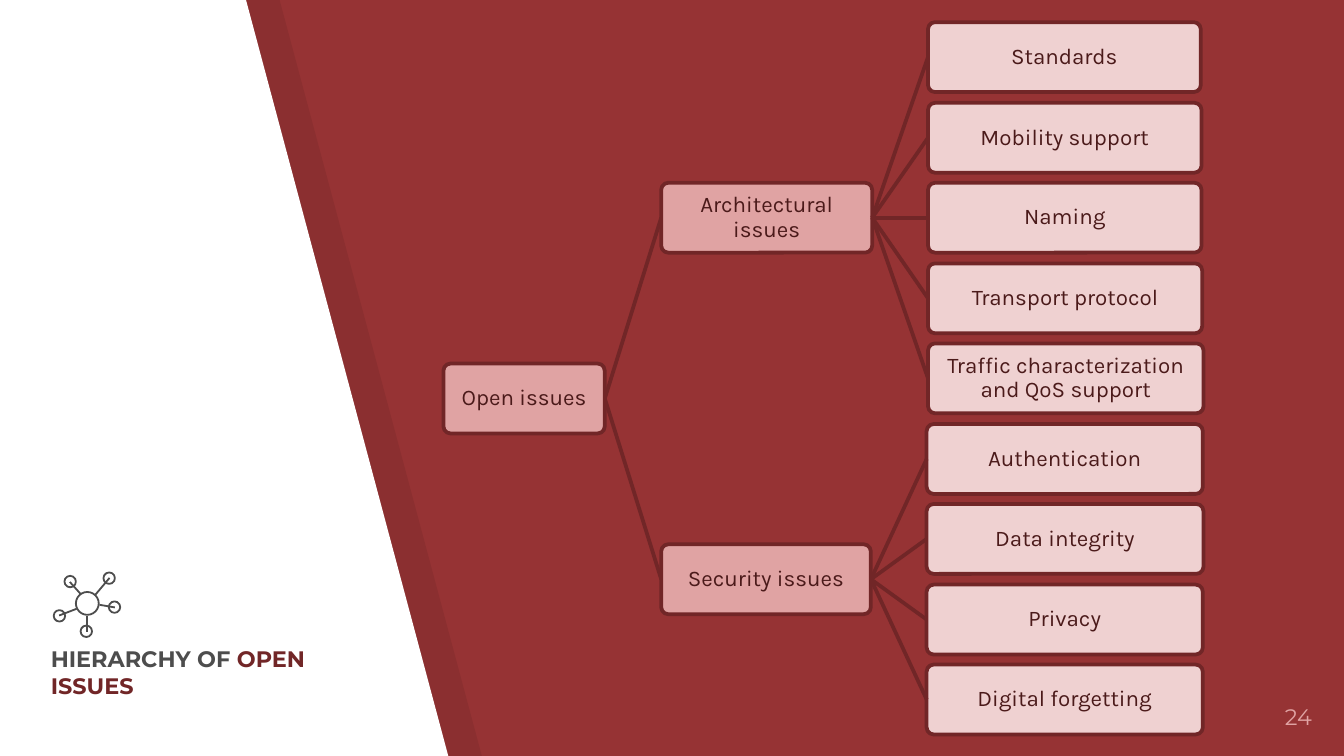
from pptx import Presentation
from pptx.dml.color import RGBColor
from pptx.enum.shapes import MSO_CONNECTOR as CONN, MSO_SHAPE as SHAPE
from pptx.enum.text import MSO_ANCHOR as ANCHOR, PP_ALIGN as ALIGN
from pptx.oxml.ns import qn
from pptx.util import Pt
from lxml import etree

PX = 4572  # 200 px to the inch
RED = RGBColor(0x96, 0x33, 0x34)
DARK_RED = RGBColor(0x71, 0x26, 0x27)
PINK = RGBColor(0xE0, 0xA3, 0xA3)
PALE = RGBColor(0xEF, 0xD1, 0xD1)
INK = RGBColor(0x4B, 0x1A, 0x1A)
GREY = RGBColor(0x4D, 0x4D, 0x4D)
WHITE = RGBColor(0xFF, 0xFF, 0xFF)
BLACK = RGBColor(0, 0, 0)

prs = Presentation()
prs.slide_width, prs.slide_height = 2000 * PX, 1125 * PX
s = prs.slides.add_slide(prs.slide_layouts[6])
s.background.fill.solid()
s.background.fill.fore_color.rgb = RED


def add_text(sp, runs, font, inset, anchor, align, spacing=1.0):
    tf = sp.text_frame
    frame = {"word_wrap": True, "vertical_anchor": anchor}
    frame.update({f"margin_{side}": inset * PX for side in ("left", "top", "right", "bottom")})
    for name, value in frame.items():
        setattr(tf, name, value)
    p = tf.paragraphs[0]
    p.alignment, p.line_spacing = align, spacing
    for text, color, bold in runs:
        r = p.add_run()
        r.text = text
        for name, value in {"name": font, "size": Pt(12), "bold": bold}.items():
            setattr(r.font, name, value)
        r.font.color.rgb = color


def add_line(x1, y1, x2, y2, color, width):
    line = s.shapes.add_connector(CONN.STRAIGHT, x1 * PX, y1 * PX, x2 * PX, y2 * PX)
    line.line.color.rgb = color
    line.line.width = Pt(width)
    etree.SubElement(line._element.spPr, qn("a:effectLst"))
    return line


# Slanted panel over its translucent shadow
for x, color, alpha in ((46, BLACK, 7), (-4, WHITE, 100)):
    fb = s.shapes.build_freeform(x, -2, scale=PX)
    fb.add_line_segments([(x, 1128), (x + 672, 1128), (x + 370, -1)], close=True)
    sp = fb.convert_to_shape()
    sp.shadow.inherit = False
    sp.fill.solid()
    sp.fill.fore_color.rgb = color
    sp.line.fill.background()
    if alpha < 100:
        rgb = sp._element.spPr.find(".//" + qn("a:srgbClr"))
        etree.SubElement(rgb, qn("a:alpha"), val=str(alpha * 1000))

# Title and slide number
title = s.shapes.add_textbox(56 * PX, 954 * PX, 432 * PX, 106 * PX)
add_text(title, [("HIERARCHY OF ", GREY, True), ("OPEN ISSUES", DARK_RED, True)],
         "Montserrat", 20, ANCHOR.BOTTOM, ALIGN.LEFT)
number = s.shapes.add_textbox(1852 * PX, 1026 * PX, 120 * PX, 86 * PX)
add_text(number, [("24", PINK, False)], "Montserrat", 20, ANCHOR.TOP, ALIGN.RIGHT)

# Network icon: hub, satellites and spokes
for x, y, size in ((113, 881, 34), (154, 852, 17), (96, 857, 17), (80, 908, 17),
                   (120, 931, 17), (162, 895, 17)):
    sp = s.shapes.add_shape(SHAPE.OVAL, x * PX, y * PX, size * PX, size * PX)
    sp.shadow.inherit = False
    sp.fill.background()
    sp.line.color.rgb = GREY
    sp.line.width = Pt(0.96)
for ends in ((104, 866, 120, 884), (142, 885, 163, 860), (171, 904, 148, 900),
             (129, 940, 129, 916), (88, 916, 114, 906)):
    add_line(*ends, GREY, 0.96)

# Tree nodes: name, parent, left, row, width, fill
ROW_TOP, ROW_STEP, NODE_H = 33.5, 119.5, 104
ROOT, ARCH, SEC = "Open issues", "Architectural issues", "Security issues"
nodes = [
    (ROOT, None, 660, 4.25, 240, PINK),
    (ARCH, ROOT, 984, 2, 314, PINK),
    (SEC, ROOT, 984, 6.5, 312, PINK),
]
leaves = [
    ("Standards", ARCH, 406),
    ("Mobility support", ARCH, 407),
    ("Naming", ARCH, 407),
    ("Transport protocol", ARCH, 408),
    ("Traffic characterization and QoS support", ARCH, 410),
    ("Authentication", SEC, 411),
    ("Data integrity", SEC, 412),
    ("Privacy", SEC, 411),
    ("Digital forgetting", SEC, 411),
]
for row, (name, parent, width) in enumerate(leaves):
    nodes.append((name, parent, 1381 if parent == ARCH else 1379, row, width, PALE))

boxes = {}
for name, parent, x, row, width, fill in nodes:
    y = int(ROW_TOP + ROW_STEP * row)
    sp = s.shapes.add_shape(SHAPE.ROUNDED_RECTANGLE, x * PX, y * PX, width * PX, NODE_H * PX)
    sp.adjustments[0] = 0.1
    sp.shadow.inherit = False
    sp.fill.solid()
    sp.fill.fore_color.rgb = fill
    sp.line.color.rgb = DARK_RED
    sp.line.width = Pt(2)
    add_text(sp, [(name, INK, False)], "Karla", 4, ANCHOR.MIDDLE, ALIGN.CENTER, 0.9)
    boxes[name] = sp

# Branches from each parent's right side to the child's left side
for name, parent, *_ in nodes:
    if parent:
        branch = add_line(0, 0, 0, 0, DARK_RED, 2)
        branch.begin_connect(boxes[parent], 3)
        branch.end_connect(boxes[name], 1)

prs.save("out.pptx")
